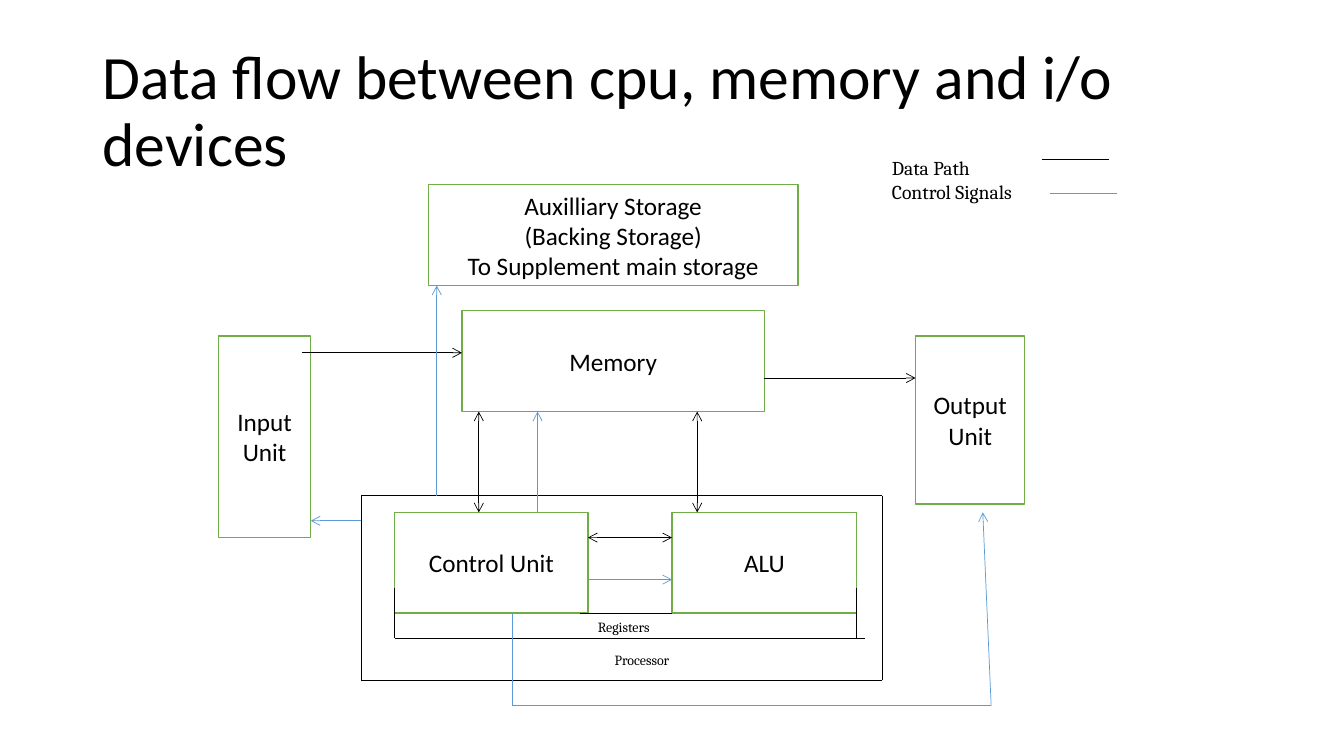
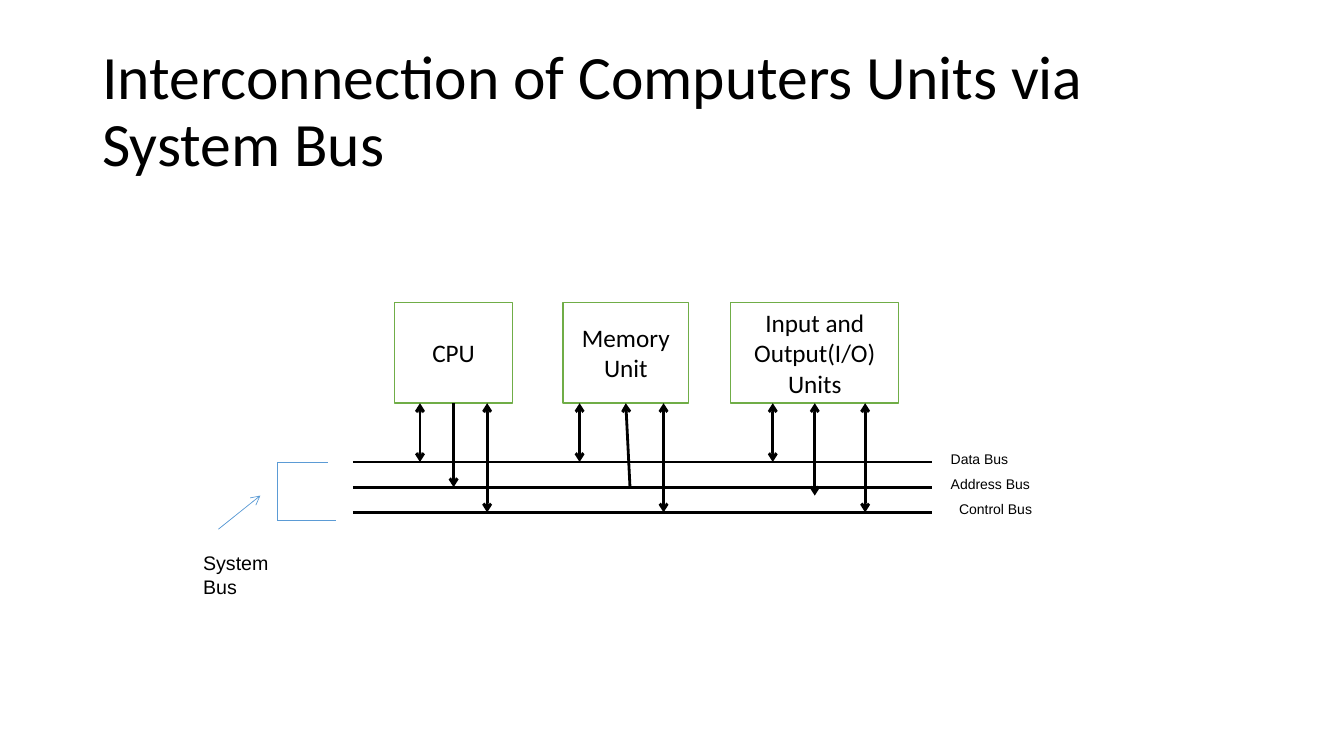
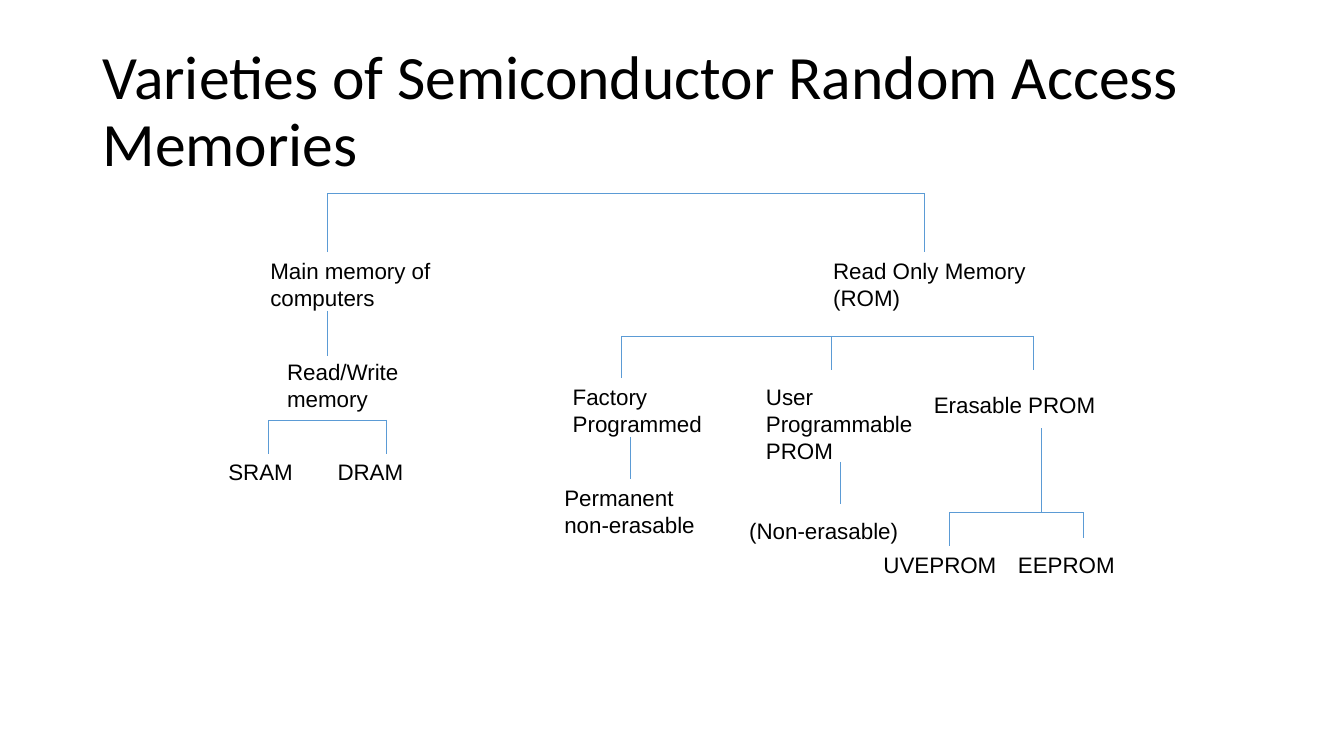
"""Build three slides on computer organisation: data flow, system bus and memory types."""

from dataclasses import dataclass
from itertools import pairwise

from lxml.etree import SubElement
from pptx import Presentation
from pptx.dml.color import RGBColor
from pptx.enum.shapes import MSO_CONNECTOR, MSO_SHAPE
from pptx.enum.text import MSO_ANCHOR, MSO_AUTO_SIZE, PP_ALIGN
from pptx.oxml.ns import qn
from pptx.presentation import Presentation as Deck
from pptx.shapes.autoshape import Shape
from pptx.slide import Slide
from pptx.text.text import TextFrame
from pptx.util import Emu, Pt

SCALE = 9525
Point = tuple[int, int]


@dataclass(frozen=True)
class Theme:
    ink: RGBColor = RGBColor(0x00, 0x00, 0x00)
    paper: RGBColor = RGBColor(0xFF, 0xFF, 0xFF)
    green: RGBColor = RGBColor(0x70, 0xAD, 0x47)
    blue: RGBColor = RGBColor(0x5B, 0x9B, 0xD5)
    main: str = "Calibri"
    serif: str = "Cambria"
    sans: str = "Arial"
    title: int = 44
    body: int = 18
    node: int = 16
    note: int = 14
    small: int = 10
    thin: float = 0.5
    edge: float = 1
    thick: float = 2


THEME = Theme()


@dataclass(frozen=True)
class Box:
    text: str
    left: int
    top: int
    width: int
    height: int = 96


@dataclass(frozen=True)
class Label:
    text: str
    left: int
    top: int
    width: int
    height: int
    size: int
    font: str = THEME.sans


@dataclass(frozen=True)
class Wire:
    points: tuple[Point, ...]
    color: RGBColor = THEME.ink
    width: float = THEME.thin
    head: bool = False
    tail: bool = False


@dataclass(frozen=True)
class Page:
    title: str
    boxes: list[Box]
    wires: list[Wire]
    labels: list[Label]


def px(value: int) -> Emu:
    """Turn pixels into EMU."""
    return Emu(value * SCALE)


def write(frame: TextFrame, text: str, font: str, size: int, align: PP_ALIGN = PP_ALIGN.LEFT) -> None:
    """Fill a frame with wrapped paragraphs of one style."""
    frame.text = text
    frame.word_wrap = True
    for para in frame.paragraphs:
        para.alignment = align
        para.font.name = font
        para.font.size = Pt(size)
        para.font.color.rgb = THEME.ink


def draw_title(slide: Slide, text: str) -> None:
    """Place and style the title."""
    shape = slide.shapes.title
    shape.left, shape.top, shape.width, shape.height = map(px, (88, 38, 1104, 139))
    frame = shape.text_frame
    write(frame, text, THEME.main, THEME.title)
    frame.auto_size = MSO_AUTO_SIZE.NONE
    frame.vertical_anchor = MSO_ANCHOR.MIDDLE
    frame.paragraphs[0].line_spacing = 0.9


def draw_box(slide: Slide, box: Box) -> Shape:
    """Draw a white unit box with a green edge."""
    spot = map(px, (box.left, box.top, box.width, box.height))
    shape = slide.shapes.add_shape(MSO_SHAPE.RECTANGLE, *spot)
    shape.shadow.inherit = False
    shape.fill.solid()
    shape.fill.fore_color.rgb = THEME.paper
    shape.line.color.rgb = THEME.green
    shape.line.width = Pt(THEME.edge)
    write(shape.text_frame, box.text, THEME.main, THEME.body, PP_ALIGN.CENTER)
    shape.text_frame.vertical_anchor = MSO_ANCHOR.MIDDLE
    return shape


def draw_label(slide: Slide, label: Label) -> None:
    """Draw a free text label."""
    spot = map(px, (label.left, label.top, label.width, label.height))
    frame = slide.shapes.add_textbox(*spot).text_frame
    write(frame, label.text, label.font, label.size)
    frame.auto_size = MSO_AUTO_SIZE.SHAPE_TO_FIT_TEXT


def find_ports(boxes: list[Box], shapes: list[Shape]) -> dict[Point, tuple[Shape, int]]:
    """Map the middle of each box side to its shape and site."""
    ports = {}
    for box, shape in zip(boxes, shapes):
        right, base = box.left + box.width, box.top + box.height
        mid, half = box.left + box.width // 2, box.top + box.height // 2
        sides = ((mid, box.top), (box.left, half), (mid, base), (right, half))
        ports.update({side: (shape, site) for site, side in enumerate(sides)})
    return ports


def draw_wire(slide: Slide, wire: Wire, ports: dict[Point, tuple[Shape, int]]) -> None:
    """Draw a chain of straight connectors, joined to boxes where they meet."""
    legs = list(pairwise(wire.points))
    for index, (start, end) in enumerate(legs):
        line = slide.shapes.add_connector(MSO_CONNECTOR.STRAIGHT, *map(px, start + end))
        line.line.color.rgb = wire.color
        line.line.width = Pt(wire.width)
        props = line.line._get_or_add_ln()
        if wire.head and index == 0:
            SubElement(props, qn("a:headEnd"), type="arrow")
        if wire.tail and index == len(legs) - 1:
            SubElement(props, qn("a:tailEnd"), type="arrow")
        SubElement(line._element.spPr, qn("a:effectLst"))
        if start in ports:
            line.begin_connect(*ports[start])
        if end in ports:
            line.end_connect(*ports[end])


def draw_page(deck: Deck, page: Page) -> None:
    """Add one slide."""
    slide = deck.slides.add_slide(deck.slide_layouts[5])
    draw_title(slide, page.title)
    shapes = [draw_box(slide, box) for box in page.boxes]
    ports = find_ports(page.boxes, shapes)
    for wire in page.wires:
        draw_wire(slide, wire, ports)
    for label in page.labels:
        draw_label(slide, label)


def data(*points: Point, head: bool = False, tail: bool = False) -> Wire:
    """Describe a thin black line."""
    return Wire(points, head=head, tail=tail)


def signal(*points: Point, tail: bool = False) -> Wire:
    """Describe a thin blue line."""
    return Wire(points, THEME.blue, tail=tail)


def bus(*points: Point, head: bool = False, tail: bool = False) -> Wire:
    """Describe a thick black line."""
    return Wire(points, width=THEME.thick, head=head, tail=tail)


def fork(left: int, right: int, top: int, lend: int, rend: int) -> Wire:
    """Describe a blue bracket with two legs."""
    return signal((left, lend), (left, top), (right, top), (right, rend))


def node(text: str, left: int, top: int, width: int) -> Label:
    """Describe a label of the memory tree."""
    return Label(text, left, top, width, 36, THEME.node)


def flow_page() -> Page:
    """Describe the data flow slide."""
    boxes = [
        Box("Auxilliary Storage\n(Backing Storage)\nTo Supplement main storage", 408, 176, 352),
        Box("Memory", 440, 296, 288),
        Box("Input Unit", 208, 320, 88, 192),
        Box("Control Unit", 376, 488, 184),
        Box("ALU", 640, 488, 176),
        Box("Output Unit", 872, 320, 104, 160),
    ]
    wires = [
        data((288, 336), (440, 336), tail=True),
        data((456, 392), (456, 488), head=True, tail=True),
        data((664, 392), (664, 488), head=True, tail=True),
        data((560, 512), (640, 512), head=True, tail=True),
        data((728, 360), (872, 360), tail=True),
        data((344, 472), (840, 472), (840, 648), (344, 648), (344, 472)),
        data((824, 608), (376, 608), (376, 560)),
        data((816, 560), (816, 608)),
        data((552, 584), (640, 584)),
        signal((344, 496), (296, 496), tail=True),
        signal((416, 472), (416, 272), tail=True),
        signal((512, 488), (512, 392), tail=True),
        signal((560, 552), (640, 552), tail=True),
        signal((488, 584), (488, 672), (944, 672), (936, 488), tail=True),
        data((992, 152), (1056, 152)),
        signal((1000, 184), (1064, 184)),
    ]
    labels = [
        Label("Registers", 560, 584, 96, 26, THEME.small, THEME.serif),
        Label("Processor", 576, 616, 96, 26, THEME.small, THEME.serif),
        Label("Data Path\nControl Signals", 840, 144, 184, 55, THEME.note, THEME.serif),
    ]
    return Page("Data flow between cpu, memory and i/o devices", boxes, wires, labels)


def bus_page() -> Page:
    """Describe the system bus slide."""
    base, rails = 384, (440, 464, 488)
    boxes = [
        Box("CPU", 376, 288, 112),
        Box("Memory Unit", 536, 288, 120),
        Box("Input and Output(I/O) Units", 696, 288, 160),
    ]
    drops = ((400, 440), (464, 488), (552, 440), (632, 488), (736, 440), (776, 472), (824, 488))
    wires = [
        *(bus((336, rail), (888, rail)) for rail in rails),
        *(bus((x, base), (x, end), head=True, tail=True) for x, end in drops),
        bus((432, base), (432, 464), tail=True),
        bus((600, 464), (596, base), tail=True),
        signal((312, 440), (264, 440), (264, 496), (320, 496)),
        signal((208, 504), (248, 472), tail=True),
    ]
    names = (("Data Bus", 896), ("Address Bus", 896), ("Control Bus", 904))
    labels = [
        *(Label(name, x, rail - 16, 160, 26, THEME.small) for (name, x), rail in zip(names, rails)),
        Label("System Bus", 184, 520, 104, 55, THEME.note),
    ]
    return Page("Interconnection of Computers Units via System Bus", boxes, wires, labels)


def tree_page() -> Page:
    """Describe the memory types slide."""
    stems = ((312, 296, 339), (792, 320, 352), (992, 408, 488), (800, 440, 480), (600, 416, 456))
    wires = [
        fork(312, 880, 184, 240, 240),
        fork(592, 984, 320, 360, 352),
        fork(256, 368, 400, 432, 432),
        fork(904, 1032, 488, 520, 512),
        *(signal((x, top), (x, end)) for x, top, end in stems),
    ]
    labels = [
        node("Main memory of computers", 248, 240, 208),
        node("Read Only Memory (ROM)", 784, 240, 208),
        node("Read/Write memory", 264, 336, 176),
        node("Factory Programmed", 536, 360, 144),
        node("User Programmable PROM", 720, 360, 160),
        node("Erasable PROM", 880, 368, 184),
        node("SRAM", 208, 432, 104),
        node("DRAM", 312, 432, 128),
        node("Permanent non-erasable", 528, 456, 144),
        node("(Non-erasable)", 704, 488, 168),
        node("UVEPROM", 832, 520, 128),
        node("EEPROM", 960, 520, 112),
    ]
    return Page("Varieties of Semiconductor Random Access Memories", [], wires, labels)


def main() -> None:
    """Build and save the deck."""
    deck = Presentation()
    deck.slide_width, deck.slide_height = px(1280), px(720)
    for page in (flow_page(), bus_page(), tree_page()):
        draw_page(deck, page)
    deck.save("out.pptx")


if __name__ == "__main__":
    main()
